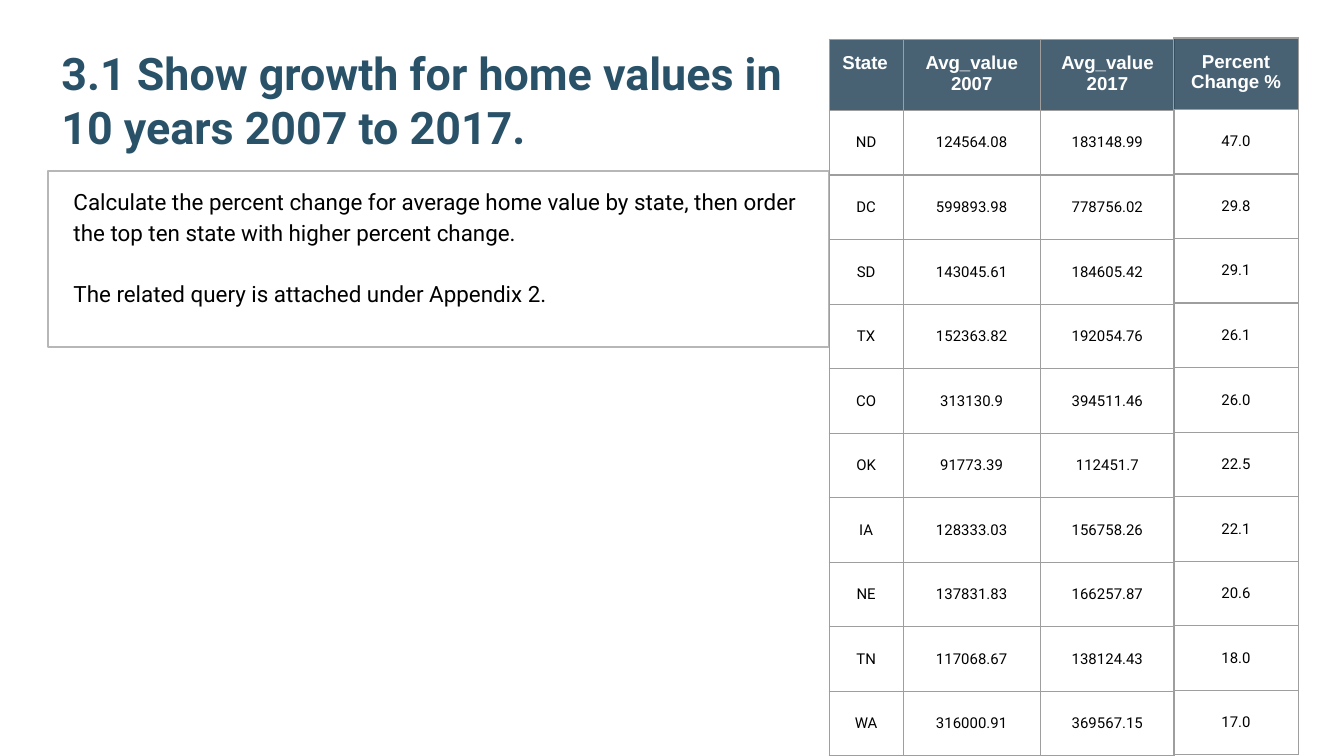
from dataclasses import dataclass

from lxml import etree
from pptx import Presentation
from pptx.dml.color import RGBColor
from pptx.enum.shapes import MSO_SHAPE
from pptx.enum.text import MSO_ANCHOR, PP_ALIGN
from pptx.oxml.ns import qn
from pptx.util import Cm, Pt

RECTANGLE = MSO_SHAPE.RECTANGLE
TOP, MIDDLE, BOTTOM = MSO_ANCHOR.TOP, MSO_ANCHOR.MIDDLE, MSO_ANCHOR.BOTTOM
LEFT, CENTER = PP_ALIGN.LEFT, PP_ALIGN.CENTER

WHITE = RGBColor(0xFF, 0xFF, 0xFF)
BLACK = RGBColor(0x00, 0x00, 0x00)
TITLE_BLUE = RGBColor(0x29, 0x52, 0x69)
HEADER_BLUE = RGBColor(0x20, 0x40, 0x56)
BOX_GRAY = RGBColor(0xB7, 0xB7, 0xB7)
BORDER_GRAY = RGBColor(0x9E, 0x9E, 0x9E)

HEADER_OPACITY = 82000
LINE_WIDTH = Pt(0.75)
HEADER_HEIGHT = Cm(1.28)
ROW_HEIGHT = Cm(1.22)
TEXT_INSET = Cm(0.25)
CELL_INSET = Cm(0.03)


@dataclass(frozen=True)
class TextStyle:
    font: str
    size: float
    color: RGBColor
    bold: bool = False


@dataclass(frozen=True)
class StateTable:
    left: float
    top: float
    widths: tuple[float, ...]
    headers: tuple[str, ...]
    rows: list[tuple[str, ...]]


TITLE_STYLE = TextStyle("Roboto", 24, TITLE_BLUE, True)
BODY_STYLE = TextStyle("Roboto", 12, BLACK)
HEADER_STYLE = TextStyle("Arial", 10, WHITE, True)
VALUE_STYLE = TextStyle("Roboto", 8, BLACK)

TITLE = "3.1 Show growth for home values in\n10 years 2007 to 2017."
BODY = (
    "Calculate the percent change for average home value by state, then order "
    "the top ten state with higher percent change.\n"
    "The related query is attached under Appendix 2."
)

STATES = [
    ("ND", "124564.08", "183148.99", "47.0"),
    ("DC", "599893.98", "778756.02", "29.8"),
    ("SD", "143045.61", "184605.42", "29.1"),
    ("TX", "152363.82", "192054.76", "26.1"),
    ("CO", "313130.9", "394511.46", "26.0"),
    ("OK", "91773.39", "112451.7", "22.5"),
    ("IA", "128333.03", "156758.26", "22.1"),
    ("NE", "137831.83", "166257.87", "20.6"),
    ("TN", "117068.67", "138124.43", "18.0"),
    ("WA", "316000.91", "369567.15", "17.0"),
]

TABLES = [
    StateTable(15.67, 0.74, (1.4, 2.59, 2.54),
               ("State", "Avg_value\n2007", "Avg_value\n2017"),
               [row[:3] for row in STATES]),
    StateTable(22.18, 0.72, (2.36,), ("Percent\nChange %",),
               [row[3:] for row in STATES]),
]


def write_text(frame, text: str, style: TextStyle, align=LEFT) -> None:
    frame.word_wrap = True
    frame.text = text
    for para in frame.paragraphs:
        para.alignment = align
        for span in para.runs:
            span.font.name = style.font
            span.font.size = Pt(style.size)
            span.font.bold = style.bold
            span.font.color.rgb = style.color


def set_insets(holder, inset: int) -> None:
    holder.margin_left = holder.margin_right = inset
    holder.margin_top = holder.margin_bottom = inset


def draw_title(page) -> None:
    box = page.shapes.add_textbox(Cm(0.91), Cm(0.81), Cm(14.58), Cm(2.34))
    frame = box.text_frame
    write_text(frame, TITLE, TITLE_STYLE)
    set_insets(frame, TEXT_INSET)
    frame.vertical_anchor = BOTTOM


def draw_body(page) -> None:
    box = page.shapes.add_shape(RECTANGLE, Cm(0.91), Cm(3.23), Cm(14.76), Cm(3.33))
    box.shadow.inherit = False
    box.fill.background()
    box.line.color.rgb = BOX_GRAY
    box.line.width = LINE_WIDTH
    frame = box.text_frame
    write_text(frame, BODY, BODY_STYLE)
    set_insets(frame, TEXT_INSET)
    frame.margin_left = Cm(0.48)
    frame.vertical_anchor = TOP
    for para in frame.paragraphs:
        para.line_spacing = 1.15
    frame.paragraphs[1].space_before = Pt(16.4)


def add_borders(cell) -> None:
    properties = cell._tc.get_or_add_tcPr()
    for index, side in enumerate(("a:lnL", "a:lnR", "a:lnT", "a:lnB")):
        line = etree.Element(qn(side), w=str(LINE_WIDTH))
        fill = etree.SubElement(line, qn("a:solidFill"))
        etree.SubElement(fill, qn("a:srgbClr"), val=str(BORDER_GRAY))
        properties.insert(index, line)


def fill_header(cell) -> None:
    cell.fill.solid()
    cell.fill.fore_color.rgb = HEADER_BLUE
    color = cell._tc.tcPr.find(qn("a:solidFill")).find(qn("a:srgbClr"))
    etree.SubElement(color, qn("a:alpha"), val=str(HEADER_OPACITY))


def draw_cell(cell, text: str, is_header: bool) -> None:
    if is_header:
        align = LEFT if text == "State" else CENTER
        write_text(cell.text_frame, text, HEADER_STYLE, align)
        set_insets(cell, TEXT_INSET)
        cell.vertical_anchor = TOP
        fill_header(cell)
    else:
        write_text(cell.text_frame, text, VALUE_STYLE, CENTER)
        set_insets(cell, CELL_INSET)
        cell.vertical_anchor = MIDDLE
        cell.fill.background()
    add_borders(cell)


def draw_table(page, content: StateTable) -> None:
    lines = [content.headers, *content.rows]
    height = HEADER_HEIGHT + ROW_HEIGHT * len(content.rows)
    table = page.shapes.add_table(
        len(lines), len(content.widths), Cm(content.left), Cm(content.top),
        Cm(sum(content.widths)), height,
    ).table
    table.first_row = False
    table.horz_banding = False
    for column, width in zip(table.columns, content.widths):
        column.width = Cm(width)
    for row_index, line in enumerate(lines):
        is_header = row_index == 0
        table.rows[row_index].height = HEADER_HEIGHT if is_header else ROW_HEIGHT
        for column_index, text in enumerate(line):
            draw_cell(table.cell(row_index, column_index), text, is_header)


def main() -> None:
    deck = Presentation()
    deck.slide_width, deck.slide_height = Cm(25.4), Cm(14.29)
    page = deck.slides.add_slide(deck.slide_layouts[6])
    draw_title(page)
    draw_body(page)
    for content in TABLES:
        draw_table(page, content)
    deck.save("out.pptx")


if __name__ == "__main__":
    main()
